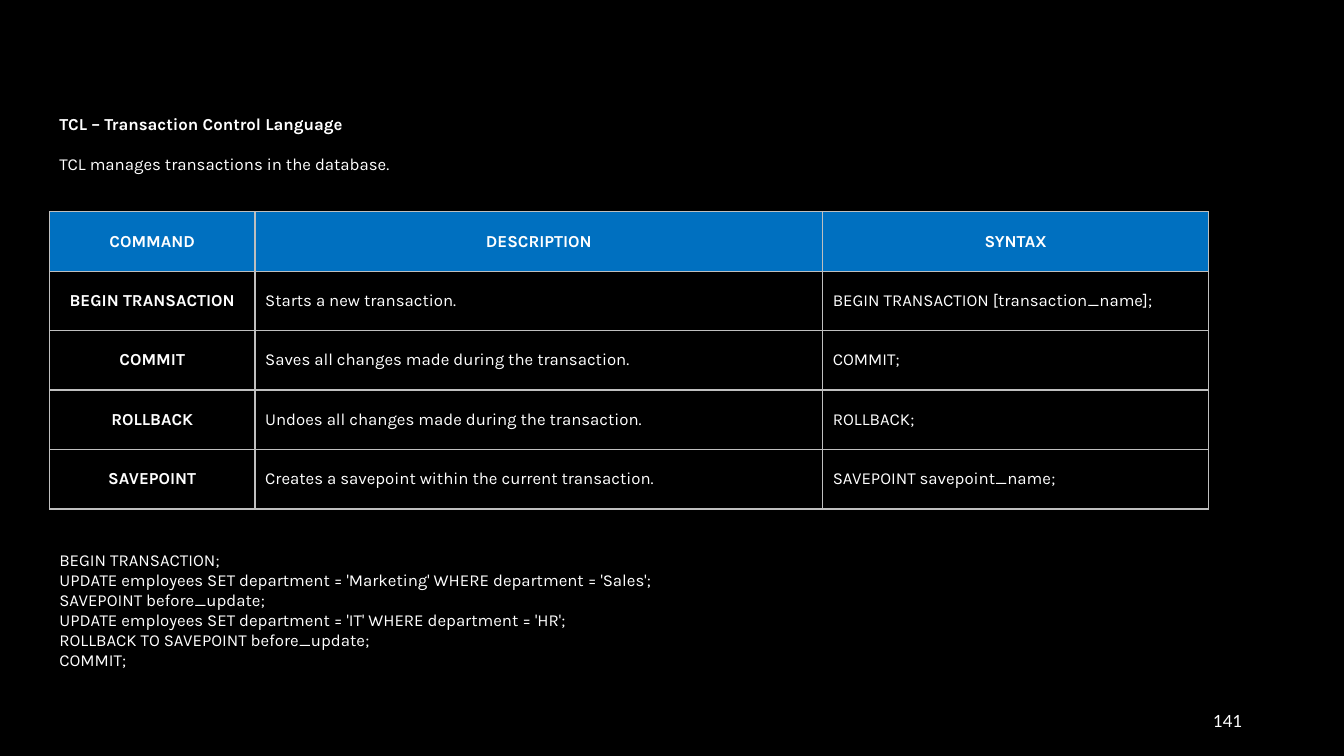
"""Build the slide on Transaction Control Language commands."""
from lxml.etree import SubElement
from pptx import Presentation
from pptx.dml.color import RGBColor
from pptx.enum.text import MSO_ANCHOR as Anchor, PP_ALIGN as Align
from pptx.oxml import parse_xml
from pptx.oxml.ns import nsdecls, qn
from pptx.util import Inches, Pt

COLORS = {"background": "000000", "text": "FFFFFF", "header": "0070C0", "border": "BFBFBF"}
HEADING = "TCL – Transaction Control Language"
SUMMARY = "TCL manages transactions in the database."
COMMANDS = [
    ("COMMAND", "DESCRIPTION", "SYNTAX"),
    ("BEGIN TRANSACTION", "Starts a new transaction.", "BEGIN TRANSACTION [transaction_name];"),
    ("COMMIT", "Saves all changes made during the transaction.", "COMMIT;"),
    ("ROLLBACK", "Undoes all changes made during the transaction.", "ROLLBACK;"),
    ("SAVEPOINT", "Creates a savepoint within the current transaction.", "SAVEPOINT savepoint_name;"),
]
EXAMPLE = [
    "BEGIN TRANSACTION;",
    "UPDATE employees SET department = 'Marketing' WHERE department = 'Sales';",
    "SAVEPOINT before_update;",
    "UPDATE employees SET department = 'IT' WHERE department = 'HR';",
    "ROLLBACK TO SAVEPOINT before_update;",
    "COMMIT;",
]
PAGE_NUMBER = "141"
LEFT, TEXT_WIDTH, ROW_HEIGHT = 0.49, 6.86, 0.59
COLUMN_WIDTHS = [2.04, 5.63, 3.83]


def write(frame, lines, font="Karla", bold_lines=0, align=Align.LEFT, gap=0):
    frame.word_wrap = True
    frame.vertical_anchor = Anchor.MIDDLE
    for index, line in enumerate(lines):
        paragraph = frame.paragraphs[0] if index == 0 else frame.add_paragraph()
        paragraph.alignment = align
        if index:
            paragraph.space_before = Pt(gap)
        run = paragraph.add_run()
        run.text = line
        run.font.name = font
        run.font.size = Pt(12)
        run.font.bold = index < bold_lines
        run.font.color.rgb = RGBColor.from_string(COLORS["text"])


def add_text(slide, box, lines, **style):
    write(slide.shapes.add_textbox(*map(Inches, box)).text_frame, lines, **style)


def add_borders(cell):
    properties = cell._tc.get_or_add_tcPr()
    for position, side in enumerate(("lnL", "lnR", "lnT", "lnB")):
        border = parse_xml(f'<a:{side} {nsdecls("a")} w="{Pt(1)}"/>')
        fill = SubElement(border, qn("a:solidFill"))
        SubElement(fill, qn("a:srgbClr"), val=COLORS["border"])
        properties.insert(position, border)


def add_commands(slide):
    box = (LEFT, 2.1, sum(COLUMN_WIDTHS), ROW_HEIGHT * len(COMMANDS))
    table = slide.shapes.add_table(len(COMMANDS), len(COLUMN_WIDTHS), *map(Inches, box)).table
    table.first_row = table.horz_banding = False
    for column, width in zip(table.columns, COLUMN_WIDTHS):
        column.width = Inches(width)
    for row_index, command in enumerate(COMMANDS):
        table.rows[row_index].height = Inches(ROW_HEIGHT)
        for column_index, text in enumerate(command):
            cell = table.cell(row_index, column_index)
            is_label = row_index == 0 or column_index == 0
            write(cell.text_frame, [text], bold_lines=int(is_label),
                  align=Align.CENTER if is_label else Align.LEFT)
            cell.vertical_anchor = Anchor.MIDDLE
            if row_index == 0:
                cell.fill.solid()
                cell.fill.fore_color.rgb = RGBColor.from_string(COLORS["header"])
            else:
                cell.fill.background()
            add_borders(cell)


def main():
    deck = Presentation()
    deck.slide_width, deck.slide_height = Inches(13.33), Inches(7.5)
    slide = deck.slides.add_slide(deck.slide_layouts[6])
    slide.background.fill.solid()
    slide.background.fill.fore_color.rgb = RGBColor.from_string(COLORS["background"])
    add_text(slide, (9.42, 6.95, 3, 0.4), [PAGE_NUMBER], font="Lato", align=Align.RIGHT)
    add_text(slide, (LEFT, 0.98, TEXT_WIDTH, 0.9), [HEADING, SUMMARY], bold_lines=1, gap=14.4)
    add_text(slide, (LEFT, 5.27, TEXT_WIDTH, 1.56), EXAMPLE)
    add_commands(slide)
    deck.save("out.pptx")


if __name__ == "__main__":
    main()
